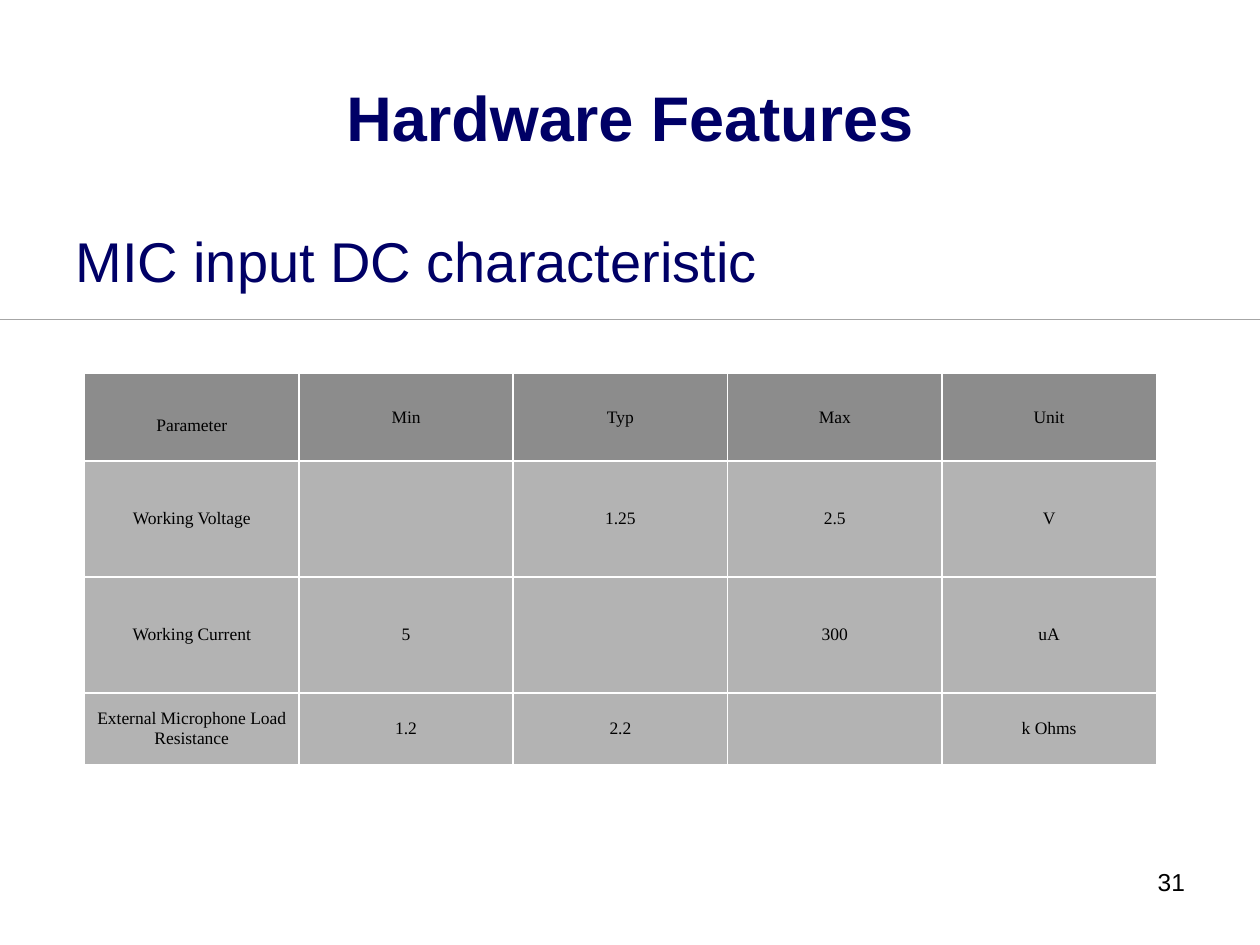
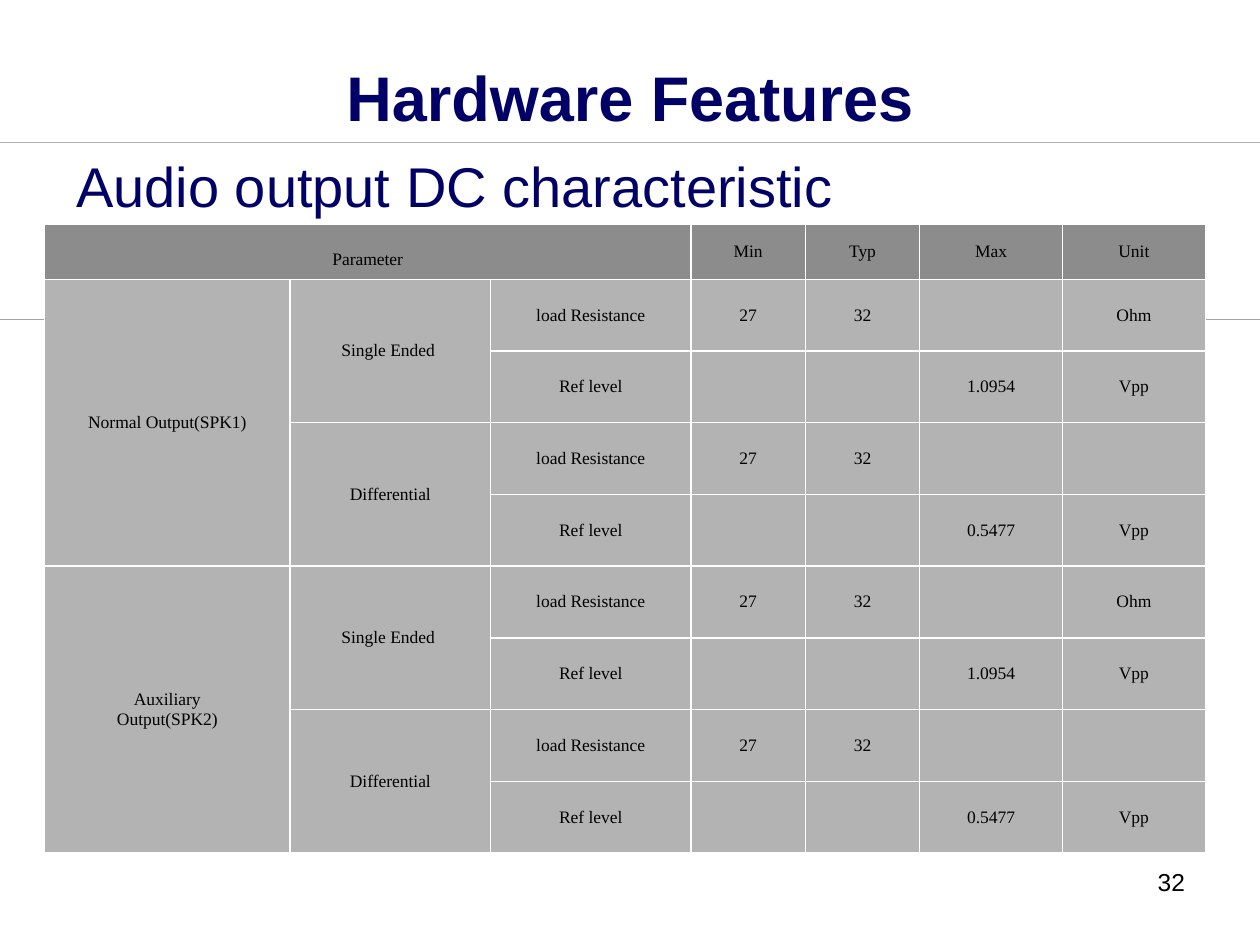
from itertools import takewhile

from lxml import etree
from pptx import Presentation
from pptx.dml.color import RGBColor
from pptx.enum.shapes import MSO_CONNECTOR
from pptx.enum.text import MSO_ANCHOR, PP_ALIGN
from pptx.oxml.ns import qn
from pptx.util import Pt

LEFT, MID, RIGHT = PP_ALIGN.LEFT, PP_ALIGN.CENTER, PP_ALIGN.RIGHT
TOP, CENTER = MSO_ANCHOR.TOP, MSO_ANCHOR.MIDDLE
LINE = MSO_CONNECTOR.STRAIGHT

HEAD = ["Min", "Typ", "Max", "Unit"]
INPUT = [
    ["Parameter", *HEAD],
    ["Working Voltage", "", "1.25", "2.5", "V"],
    ["Working Current", "5", "", "300", "uA"],
    ["External Microphone Load Resistance", "1.2", "2.2", "", "k Ohms"],
]
GROUPS = ["Normal Output(SPK1)", "Auxiliary\nOutput(SPK2)"]
MODES = [("Single Ended ", "Ohm", "1.0954"), ("Differential", "", "0.5477")]

OUTPUT = [["Parameter", None, None, *HEAD]]
for group in GROUPS:
    for mode, unit, level in MODES:
        first = group if mode == MODES[0][0] else None
        OUTPUT += [
            [first, mode, "load Resistance", "27", "32", "", unit],
            [None, None, "Ref level", "", "", level, "Vpp"],
        ]

SLIDES = [
    {
        "page": "31", "title": (36, 21.6, 648, 90),
        "topic": "MIC input DC characteristic", "body": (36, 126, 648, 331),
        "rules": [(182.2, "A6A6A6")],
        "grid": INPUT, "at": (48.3, 213.4),
        "cols": [122.5] * 5, "rows": [50, 66.3, 66.3, 41],
    },
    {
        "page": "32", "title": (36, 21.6, 648, 67),
        "topic": "Audio output DC characteristic", "body": (36.5, 82.8, 648, 376.6),
        "rules": [(182.2, "A6A6A6"), (81.4, "B3B3B3")],
        "grid": OUTPUT, "at": (25.4, 128.3),
        "cols": [140.4, 114.5, 114.5, 65.4, 65.4, 81.6, 81.6],
        "rows": [31.3] + [41] * 8,
    },
]

THEME = {
    "wide": 720, "high": 540, "hair": 0.25, "border": 0.96,
    "white": "FFFFFF", "head": "8C8C8C", "cell": "B3B3B3",
    "drop": 12.8, "foot": (516.2, 491.8, 168, 37.4),
    "title": {"name": "Arial", "size": 36, "color": "000066", "bold": True},
    "topic": {"name": "Arial", "size": 32, "color": "000066", "bold": False},
    "page": {"name": "Arial", "size": 14, "color": "000000", "bold": False},
    "table": {"name": "Times New Roman", "size": 10, "color": "000000", "bold": False},
}


def style(frame, look, align, gap=0):
    for para in frame.paragraphs:
        para.alignment = align
        para.space_before = Pt(gap)
        for key, value in THEME[look].items():
            if key == "color":
                para.font.color.rgb = RGBColor.from_string(value)
            else:
                setattr(para.font, key, Pt(value) if key == "size" else value)


def label(slide, box, text, look, align, anchor=TOP, gap=0):
    frame = slide.shapes.add_textbox(*map(Pt, box)).text_frame
    frame.word_wrap = True
    frame.vertical_anchor = anchor
    frame.text = text
    style(frame, look, align, gap)


def rule(slide, y, color):
    line = slide.shapes.add_connector(LINE, 0, Pt(y), Pt(THEME["wide"]), Pt(y))
    line.line.width = Pt(THEME["hair"])
    line.line.color.rgb = RGBColor.from_string(color)
    etree.SubElement(line.element.spPr, qn("a:effectLst"))


def edge(cell):
    props = cell._tc.get_or_add_tcPr()
    for spot, side in enumerate(("lnL", "lnR", "lnT", "lnB")):
        line = etree.Element(qn("a:" + side), w=str(Pt(THEME["border"])))
        fill = etree.SubElement(line, qn("a:solidFill"))
        etree.SubElement(fill, qn("a:srgbClr"), val=THEME["white"])
        props.insert(spot, line)


def span(items):
    return len(list(takewhile(lambda item: item is None, items)))


def table(slide, grid, at, cols, rows):
    size = (sum(cols), sum(rows))
    grid_box = slide.shapes.add_table(len(rows), len(cols), *map(Pt, at + size)).table
    grid_box.first_row = grid_box.horz_banding = False
    for col, width in zip(grid_box.columns, cols):
        col.width = Pt(width)
    for row, height in zip(grid_box.rows, rows):
        row.height = Pt(height)
    for r, line in enumerate(grid):
        for c, text in enumerate(line):
            cell = grid_box.cell(r, c)
            cell.fill.solid()
            cell.fill.fore_color.rgb = RGBColor.from_string(THEME["cell" if r else "head"])
            cell.vertical_anchor = CENTER
            edge(cell)
            if text is None:
                continue
            cell.text = text
            style(cell.text_frame, "table", MID)
            if (r, c) == (0, 0):
                cell.margin_top = Pt(THEME["drop"])
            right = c + span(line[c + 1:])
            down = r + span([below[c] for below in grid[r + 1:]])
            if (down, right) != (r, c):
                cell.merge(grid_box.cell(down, right))


def main():
    deck = Presentation()
    deck.slide_width, deck.slide_height = Pt(THEME["wide"]), Pt(THEME["high"])
    for data in SLIDES:
        slide = deck.slides.add_slide(deck.slide_layouts[6])
        label(slide, data["title"], "Hardware Features", "title", MID, CENTER)
        label(slide, data["body"], data["topic"], "topic", LEFT, gap=8)
        for y, color in data["rules"]:
            rule(slide, y, color)
        table(slide, data["grid"], data["at"], data["cols"], data["rows"])
        label(slide, THEME["foot"], data["page"], "page", RIGHT)
    deck.save("out.pptx")


if __name__ == "__main__":
    main()
